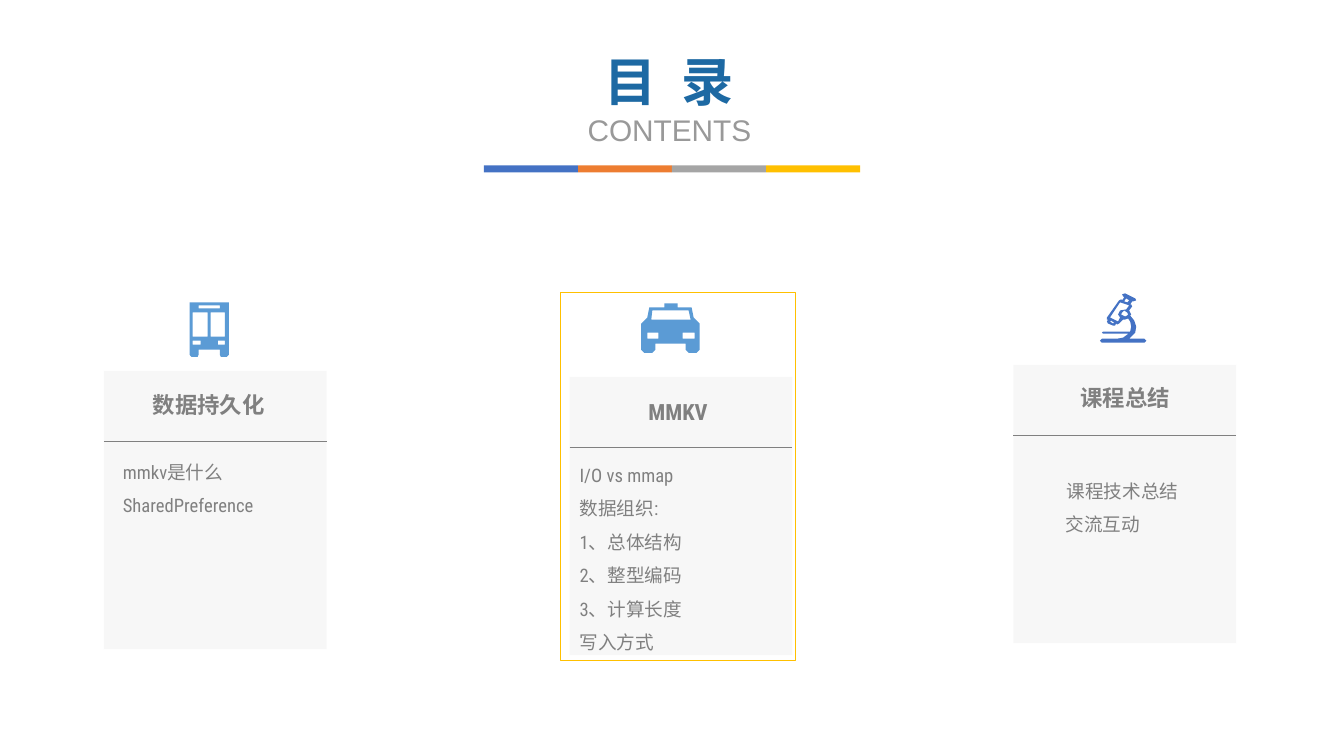
import pptx
import pptx.dml.color
import pptx.enum.shapes
import pptx.enum.text
import pptx.oxml.ns
import pptx.util
from lxml import etree

Inches, Pt = pptx.util.Inches, pptx.util.Pt
qn = pptx.oxml.ns.qn
RECT = pptx.enum.shapes.MSO_SHAPE.RECTANGLE
STRAIGHT = pptx.enum.shapes.MSO_CONNECTOR.STRAIGHT
CENTER = pptx.enum.text.PP_ALIGN.CENTER
LEFT = pptx.enum.text.PP_ALIGN.LEFT
FONT, GREY = "Roboto Condensed", "808080"


def paint(fill, color):
    fill.solid()
    fill.fore_color.rgb = pptx.dml.color.RGBColor.from_string(color)


def write(p, text, size, color=GREY, font=FONT, bold=False, align=LEFT, spacing=1.0):
    """Fill a paragraph with one formatted run and return the run."""
    p.alignment, p.line_spacing = align, spacing
    r = p.add_run()
    r.text = text
    r.font.size, r.font.name, r.font.bold = Pt(size), font, bold
    paint(r.font.fill, color)
    etree.SubElement(r.font._element, qn("a:ea"), typeface=font)
    return r


prs = pptx.Presentation()
prs.slide_width, prs.slide_height = Inches(13.33), Inches(7.5)
s = prs.slides.add_slide(prs.slide_layouts[5])

# Heading
title = s.shapes.title
title.left, title.top, title.width, title.height = map(Inches, (5.56, 0.44, 2.16, 1.09))
tf = title.text_frame
tf.auto_size = pptx.enum.text.MSO_AUTO_SIZE.NONE
tf.vertical_anchor = pptx.enum.text.MSO_ANCHOR.TOP
r = write(tf.paragraphs[0], "目 录", 37.3, "1D69A3", bold=True, align=CENTER)
r.font._element.set("spc", "450")
write(tf.add_paragraph(), "CONTENTS", 21.3, "999999", font="Arial", align=CENTER)

# Four-colour rule under the heading
BAR_W = 3.73 / 4
for i, color in enumerate(["4472C4", "ED7D31", "A5A5A5", "FFC000"]):
    sp = s.shapes.add_shape(RECT, Inches(4.8 + i * BAR_W), Inches(1.64),
                            Inches(BAR_W), Inches(0.07))
    sp.shadow.inherit = False
    paint(sp.fill, color)
    sp.line.fill.background()

# Cards: left, top, heading and its box, body lines and their box, wrapping
CARD_W, CARD_H, HEAD_H = 2.21, 2.76, 0.7
cards = [
    (1.03, 3.68, "数据持久化", (1.24, 3.83, 1.66, 0.37),
     ["mmkv是什么", "SharedPreference"], (1.12, 4.41, 2.21, 0.77), True),
    (5.65, 3.74, "MMKV", (5.67, 3.9, 2.11, 0.37),
     ["I/O vs mmap", "数据组织:", "1、总体结构", "2、整型编码", "3、计算长度", "写入方式"],
     (5.65, 4.44, 2.3, 2.46), True),
    (10.05, 3.62, "课程总结", (10.61, 3.76, 1.1, 0.37),
     ["课程技术总结", "交流互动"], (10.47, 4.6, 1.33, 0.77), False),
]
for left, top, heading, heading_box, lines, body_box, wrap in cards:
    sp = s.shapes.add_shape(RECT, *map(Inches, (left, top, CARD_W, CARD_H)))
    sp.shadow.inherit = False
    paint(sp.fill, "D9D9D9")
    etree.SubElement(next(sp._element.iter(qn("a:srgbClr"))), qn("a:alpha"), val="20000")
    sp.line.fill.background()

    y = top + HEAD_H
    divider = s.shapes.add_connector(STRAIGHT, *map(Inches, (left, y, left + CARD_W, y)))
    divider.line.width = Pt(0.5)
    paint(divider.line.fill, GREY)
    etree.SubElement(divider._element.spPr, qn("a:effectLst"))

    tf = s.shapes.add_textbox(*map(Inches, heading_box)).text_frame
    tf.word_wrap = wrap
    write(tf.paragraphs[0], heading, 16, bold=True, align=CENTER)

    tf = s.shapes.add_textbox(*map(Inches, body_box)).text_frame
    tf.word_wrap = wrap
    for i, line in enumerate(lines):
        p = tf.add_paragraph() if i else tf.paragraphs[0]
        write(p, line, 13.3, spacing=1.5, align=LEFT if wrap or i else CENTER)

# Frame around the current topic
frame = s.shapes.add_shape(RECT, *map(Inches, (5.56, 2.9, 2.33, 3.65)))
frame.shadow.inherit = False
frame.fill.background()
frame.line.width = Pt(1)
paint(frame.line.fill, "FFC000")

# Icons in hundredths of an inch: left, top, colour, outlines, windows (l, t, r, b)
bus = [[(2, 54), (8, 54), (9, 52), (9, 47), (30, 47), (30, 52), (31, 54), (37, 54),
        (39, 52), (39, 0), (0, 0), (0, 52)]]
bus_windows = [(3, 38, 11, 42), (28, 38, 35, 42), (3, 10, 18, 34), (21, 10, 35, 34),
               (9, 3, 30, 6)]
taxi = [[(3, 49), (11, 49), (14, 46), (14, 40), (44, 40), (44, 46), (47, 49), (55, 49),
         (58, 46), (58, 20), (52, 14), (50, 4), (36, 4), (36, 0), (23, 0), (23, 4),
         (8, 4), (6, 14), (0, 20), (0, 46)],
        [(11, 7), (47, 7), (49, 16), (10, 16)]]
taxi_lamps = [(6, 29, 17, 35), (41, 29, 53, 35)]
microscope = [
    [(30, 23), (34, 28), (36, 34), (35, 40), (30, 45), (29, 46), (44, 46), (46, 48),
     (44, 50), (2, 50), (0, 48), (2, 46), (17, 46), (23, 45), (27, 42), (28, 41),
     (3, 41), (2, 40), (3, 39), (30, 39), (31, 34), (30, 29), (28, 26), (25, 27),
     (23, 27), (19, 31), (17, 32), (16, 31), (15, 33), (13, 33), (8, 31), (7, 29),
     (8, 27), (7, 27), (7, 25), (19, 8), (21, 7), (22, 8), (24, 5), (23, 4), (22, 2),
     (25, 1), (35, 6), (36, 8), (33, 9), (32, 9), (30, 12), (31, 12), (32, 14),
     (29, 18), (31, 22)],
    [(29, 8), (26, 6), (24, 9), (27, 10)],
    [(26, 17), (29, 13), (20, 10), (10, 25), (18, 29), (20, 25), (18, 22), (20, 18)],
    [(27, 20), (24, 18), (22, 20), (21, 22), (25, 24), (27, 23), (28, 22)],
    [(11, 28), (10, 29), (13, 31), (14, 30)],
]
icons = [(1.88, 3.0, "5B9BD5", bus, bus_windows),
         (6.36, 3.01, "5B9BD5", taxi, taxi_lamps),
         (10.91, 2.9, "4472C4", microscope, [])]
for left, top, color, outlines, windows in icons:
    holes = [[(l, t), (r, t), (r, b), (l, b)] for l, t, r, b in windows]
    start = outlines[0][0]
    builder = s.shapes.build_freeform(*start, scale=Inches(0.01))
    for outline in outlines + holes:
        if outline is not outlines[0]:
            builder.move_to(*outline[0])
        builder.add_line_segments(outline[1:], close=True)
    sp = builder.convert_to_shape(Inches(left), Inches(top))
    sp.shadow.inherit = False
    paint(sp.fill, color)
    sp.line.fill.background()

prs.save("out.pptx")
